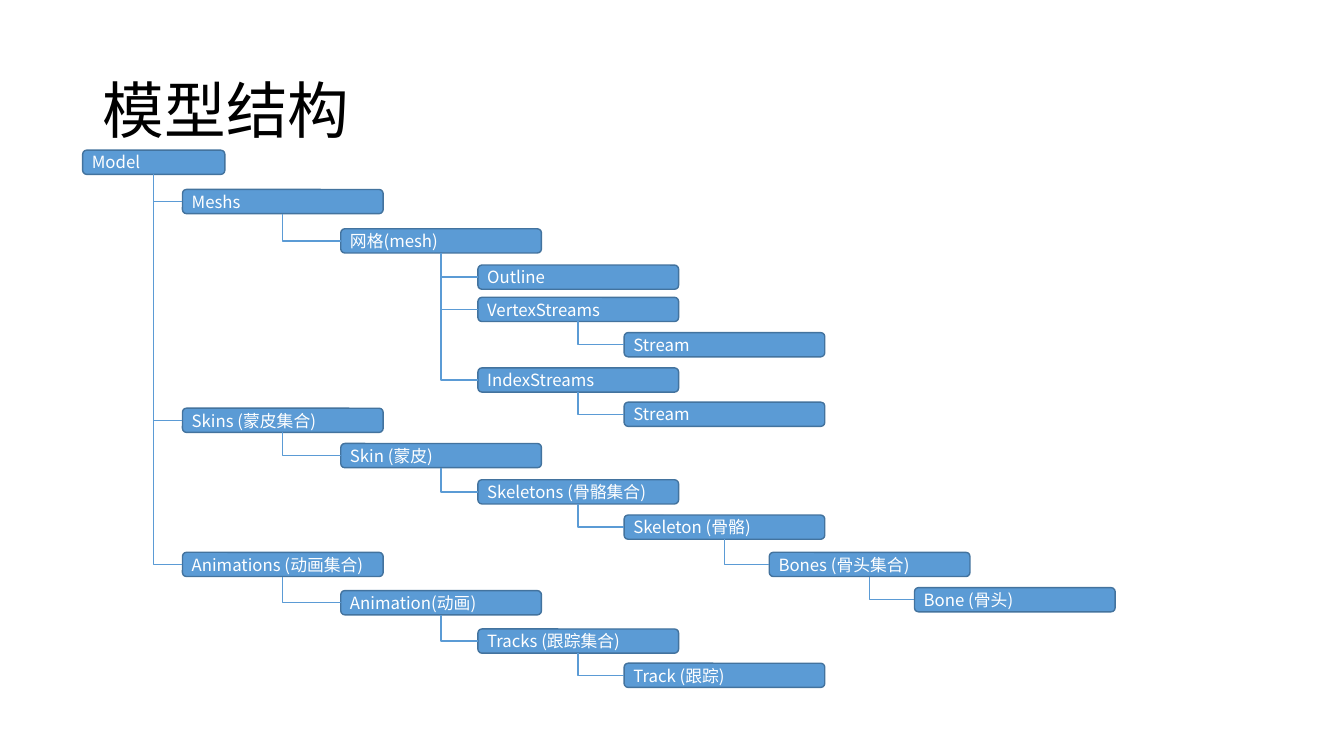
import pptx
import pptx.dml.color
import pptx.enum.shapes
import pptx.enum.text
import pptx.oxml
import pptx.oxml.ns
import pptx.util

Inches = pptx.util.Inches
Pt = pptx.util.Pt

TITLE = "模型结构"
# (depth in the tree, top in inches, label); each node hangs from the last one a level above
NODES = [
    (0, 1.49, "Model"),
    (1, 1.88, "Meshs"),
    (2, 2.27, "网格(mesh)"),
    (3, 2.63, "Outline"),
    (3, 2.95, "VertexStreams"),
    (4, 3.30, "Stream"),
    (3, 3.65, "IndexStreams"),
    (4, 3.99, "Stream"),
    (1, 4.05, "Skins (蒙皮集合)"),
    (2, 4.40, "Skin (蒙皮)"),
    (3, 4.76, "Skeletons (骨骼集合)"),
    (4, 5.11, "Skeleton (骨骼)"),
    (5, 5.48, "Bones (骨头集合)"),
    (6, 5.83, "Bone (骨头)"),
    (1, 5.48, "Animations (动画集合)"),
    (2, 5.86, "Animation(动画)"),
    (3, 6.24, "Tracks (跟踪集合)"),
    (4, 6.58, "Track (跟踪)"),
]
LEVEL_LEFTS = [0.82, 1.81, 3.38, 4.74, 6.19, 7.63, 9.07]
ROOT_WIDTH, NODE_WIDTH, NODE_HEIGHT = 1.41, 1.99, 0.24
FONT = "Noto Sans CJK SC"
BLUE, DARK_BLUE, WHITE, BLACK = "5B9BD5", "43739E", "FFFFFF", "000000"
LEFT_SITE, BOTTOM_SITE = 1, 2


def rgb(value):
    return pptx.dml.color.RGBColor.from_string(value)


def format_text(text_frame, size, color):
    for paragraph in text_frame.paragraphs:
        for run in paragraph.runs:
            run.font.size = Pt(size)
            run.font.name = FONT
            run.font.color.rgb = rgb(color)
            east_asian = pptx.oxml.parse_xml(
                f'<a:ea {pptx.oxml.ns.nsdecls("a")} typeface="{FONT}"/>')
            run.font._element.find(pptx.oxml.ns.qn("a:latin")).addnext(east_asian)


def add_title(slide):
    title = slide.shapes.title
    title.left, title.top = Inches(0.92), Inches(0.4)
    title.width, title.height = Inches(11.5), Inches(1.45)
    title.text_frame.text = TITLE
    title.text_frame.vertical_anchor = pptx.enum.text.MSO_ANCHOR.MIDDLE
    paragraph = title.text_frame.paragraphs[0]
    paragraph.alignment = pptx.enum.text.PP_ALIGN.LEFT
    paragraph.line_spacing = 0.9
    format_text(title.text_frame, 44, BLACK)


def add_node(slide, depth, top, label):
    width = NODE_WIDTH if depth else ROOT_WIDTH
    node = slide.shapes.add_shape(
        pptx.enum.shapes.MSO_SHAPE.ROUNDED_RECTANGLE,
        Inches(LEVEL_LEFTS[depth]), Inches(top), Inches(width), Inches(NODE_HEIGHT))
    node.shadow.inherit = False
    node.fill.solid()
    node.fill.fore_color.rgb = rgb(BLUE)
    node.line.color.rgb = rgb(DARK_BLUE)
    node.line.width = Pt(1)
    text_frame = node.text_frame
    text_frame.margin_left = text_frame.margin_right = Inches(0.08)
    text_frame.margin_top = text_frame.margin_bottom = 0
    text_frame.vertical_anchor = pptx.enum.text.MSO_ANCHOR.MIDDLE
    text_frame.text = label
    text_frame.paragraphs[0].alignment = pptx.enum.text.PP_ALIGN.LEFT
    format_text(text_frame, 12, WHITE)
    return node


def add_branch(slide, parent, child):
    """Join the child's left side to the parent's bottom with one bend."""
    branch = slide.shapes.add_connector(
        pptx.enum.shapes.MSO_CONNECTOR.ELBOW,
        child.left, child.top + child.height // 2,
        parent.left + parent.width // 2, parent.top + parent.height)
    branch.begin_connect(child, LEFT_SITE)
    branch.end_connect(parent, BOTTOM_SITE)
    branch.line.color.rgb = rgb(BLUE)
    branch.line.width = Pt(1)
    properties = branch._element.spPr
    properties.find(pptx.oxml.ns.qn("a:prstGeom")).set("prst", "bentConnector2")
    properties.append(pptx.oxml.parse_xml(
        f'<a:effectLst {pptx.oxml.ns.nsdecls("a")}/>'))


def main():
    presentation = pptx.Presentation()
    presentation.slide_width = Inches(13.33)
    presentation.slide_height = Inches(7.5)
    slide = presentation.slides.add_slide(presentation.slide_layouts[5])
    add_title(slide)

    latest = {}
    for depth, top, label in NODES:
        latest[depth] = add_node(slide, depth, top, label)
        if depth:
            add_branch(slide, latest[depth - 1], latest[depth])

    presentation.save("out.pptx")


if __name__ == "__main__":
    main()
